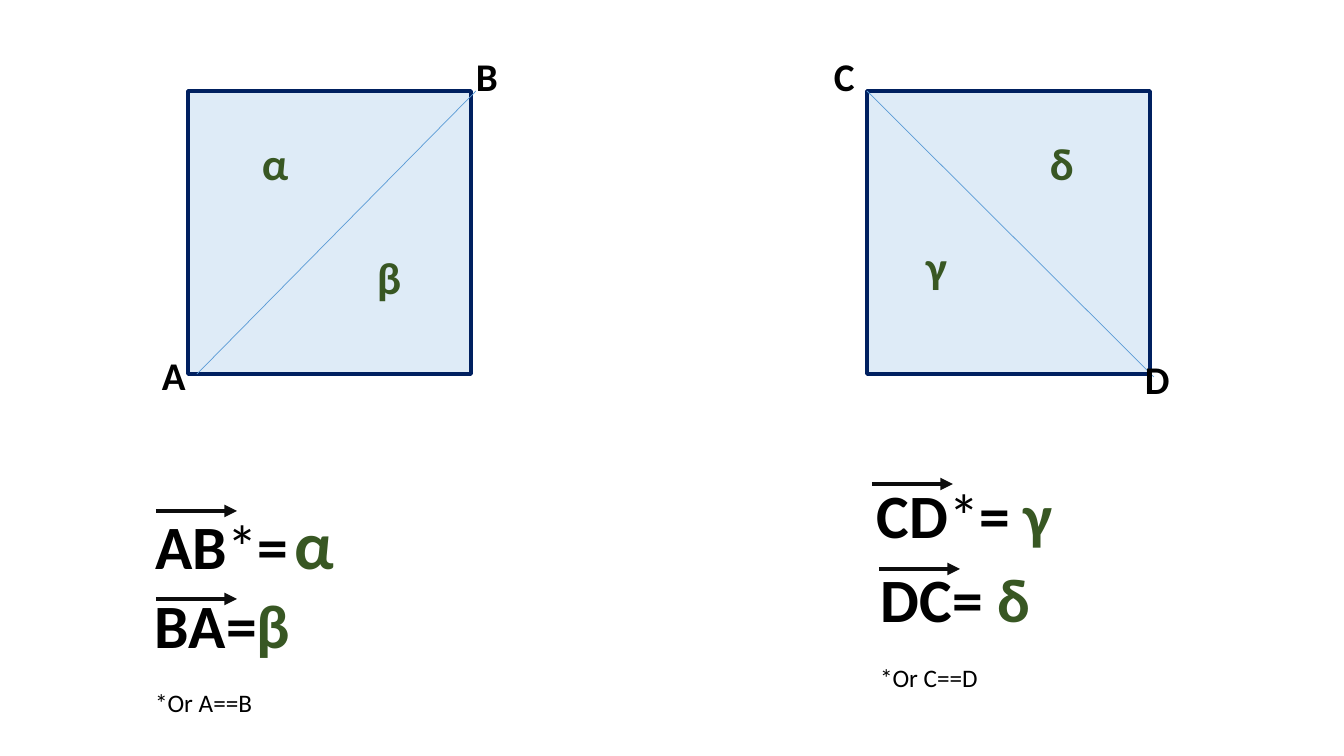
from lxml.etree import SubElement
from pptx import Presentation
from pptx.dml.color import RGBColor
from pptx.enum.shapes import MSO_CONNECTOR, MSO_SHAPE
from pptx.oxml.ns import qn
from pptx.util import Emu, Pt

PIXEL = 914400 / 100.8
COLORS = {"ink": "000000", "greek": "385723", "square": "DEEBF7",
          "border": "002060", "diagonal": "5B9BD5", "arrow": "0D0D0D"}


def pixels(*values):
    return [Emu(round(value * PIXEL)) for value in values]


def color(name):
    return RGBColor.from_string(COLORS[name])


class Board:
    font = "Calibri"

    def __init__(self, slide):
        self.slide = slide

    def square(self, left, top, side):
        shape = self.slide.shapes.add_shape(MSO_SHAPE.RECTANGLE, *pixels(left, top, side, side))
        shape.shadow.inherit = False
        shape.fill.solid()
        shape.fill.fore_color.rgb = color("square")
        shape.line.color.rgb = color("border")
        shape.line.width = Pt(2.6)

    def line(self, start, end, name, width):
        connector = self.slide.shapes.add_connector(
            MSO_CONNECTOR.STRAIGHT, *pixels(*start, *end))
        connector.line.color.rgb = color(name)
        connector.line.width = Pt(width)
        SubElement(connector._element.spPr, qn("a:effectLst"))
        return connector

    def vector_arrow(self, left, top):
        connector = self.line((left, top), (left + 81, top), "arrow", 3)
        SubElement(connector.line._get_or_add_ln(), qn("a:tailEnd"), type="triangle")

    def text(self, left, top, width, height, runs, inset=10, wrap=False):
        box = self.slide.shapes.add_textbox(*pixels(left, top, width, height))
        frame = box.text_frame
        frame.word_wrap = wrap
        frame.margin_left, frame.margin_right = pixels(inset, inset)
        paragraph = frame.paragraphs[0]
        for content, size, name, bold in runs:
            run = paragraph.add_run()
            run.text = content
            run.font.name = self.font
            run.font.size = Pt(size)
            run.font.bold = bold
            run.font.color.rgb = color(name)


presentation = Presentation()
presentation.slide_width, presentation.slide_height = pixels(1344, 756)
board = Board(presentation.slides.add_slide(presentation.slide_layouts[6]))

for left in (188, 867):
    board.square(left, 91, 283)
board.line((197, 374), (476, 91), "diagonal", 0.5)
board.line((867, 91), (1154, 377), "diagonal", 0.5)

for corner, left, top in (("A", 162, 346), ("B", 476, 47), ("C", 834, 47), ("D", 1145, 350)):
    board.text(left, top, 30, 57, [(corner, 28, "ink", True)], inset=0, wrap=True)

for angle, left, top in (("α", 252, 131), ("β", 367, 245), ("γ", 916, 234), ("δ", 1040, 131)):
    board.text(left, top, 43, 65, [(angle, 32, "greek", True)], wrap=True)

star, equals = ("*", 44, "ink", False), ("=", 44, "ink", True)
equations = (
    ("AB", 145, 497, 201, [star, equals, (" ", 18, "greek", True), ("α", 48, "greek", True)]),
    ("BA", 145, 582, 157, [equals, ("β", 44, "greek", True)]),
    ("CD", 867, 472, 198, [star, equals, (" γ", 44, "greek", True)]),
    ("DC", 871, 556, 170, [equals, (" δ", 44, "greek", True)]),
)
for vector, left, top, width, result in equations:
    board.text(left, top, width, 85, [(vector, 44, "ink", True)] + result)

for left, top in ((156, 511), (156, 599), (872, 484), (879, 569)):
    board.vector_arrow(left, top)

for note, left, top in (("*Or A==B", 145, 682), ("*Or C==D", 870, 657)):
    board.text(left, top, 118, 40, [(note, 18, "ink", False)])

presentation.save("out.pptx")
